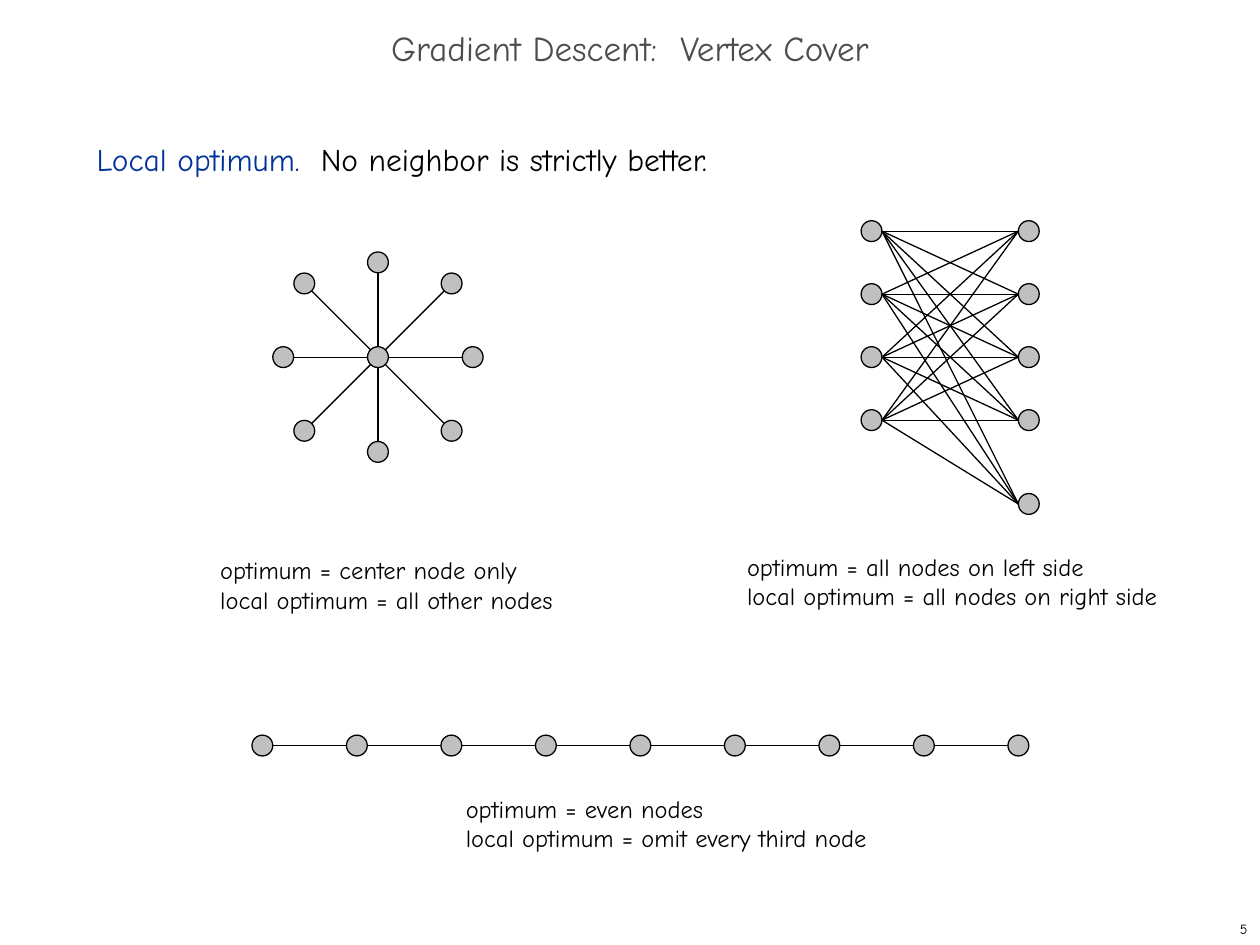
import math

from lxml import etree
from pptx import Presentation
from pptx.dml.color import RGBColor
from pptx.enum.shapes import MSO_CONNECTOR, MSO_SHAPE
from pptx.enum.text import MSO_ANCHOR, MSO_AUTO_SIZE, PP_ALIGN
from pptx.oxml.ns import qn
from pptx.util import Cm, Pt

OVAL = MSO_SHAPE.OVAL
STRAIGHT = MSO_CONNECTOR.STRAIGHT
LEFT, CENTER, RIGHT = PP_ALIGN.LEFT, PP_ALIGN.CENTER, PP_ALIGN.RIGHT
TOP, MIDDLE = MSO_ANCHOR.TOP, MSO_ANCHOR.MIDDLE
FIT_SHAPE = MSO_AUTO_SIZE.SHAPE_TO_FIT_TEXT

FONT = "Comic Neue"
COLORS = {"title": "4D4D4D", "term": "003399", "ink": "000000", "node": "C0C0C0"}
RADIUS = 0.21  # node radius in cm

presentation = Presentation()
presentation.slide_width = Cm(25.4)
presentation.slide_height = Cm(19.05)
slide = presentation.slides.add_slide(presentation.slide_layouts[6])


def add_text(box, lines, size, color="ink", align=LEFT, anchor=TOP):
    """Add a text box; box is left, top, width, height in cm."""
    text_box = slide.shapes.add_textbox(*[Cm(length) for length in box])
    frame = text_box.text_frame
    frame.word_wrap = True
    frame.vertical_anchor = anchor
    frame.text = "\n".join(lines)
    for paragraph in frame.paragraphs:
        paragraph.alignment = align
        paragraph.font.name = FONT
        paragraph.font.size = Pt(size)
        paragraph.font.color.rgb = RGBColor.from_string(COLORS[color])
    return frame


def add_edge(start, end, trim_x, trim_y):
    """Join two node centres, pulled in by the given trims at both ends."""
    (x1, y1), (x2, y2) = start, end
    connector = slide.shapes.add_connector(
        STRAIGHT, Cm(x1 + trim_x), Cm(y1 + trim_y), Cm(x2 - trim_x), Cm(y2 - trim_y))
    connector.line.color.rgb = RGBColor.from_string(COLORS["ink"])
    connector.line.width = Pt(0.75)
    etree.SubElement(connector._element.spPr, qn("a:effectLst"))


# Title and definition
title = add_text((0, 0.43, 25.4, 1.27), ["Gradient Descent:  Vertex Cover"],
                 20, "title", CENTER, MIDDLE)
title.paragraphs[0].line_spacing = 0.7

definition = add_text((1.7, 2.54, 21.8, 1.27), ["Local optimum.  "], 18)
definition_line = definition.paragraphs[0]
definition_line.line_spacing = Pt(26)
definition_line.runs[0].font.color.rgb = RGBColor.from_string(COLORS["term"])
definition_line.add_run().text = "No neighbor is strictly better."

# Star graph: a hub with eight spokes
hub = (7.62, 7.2)
star_nodes = [hub]
for step in range(8):
    reach = 2.1 if step % 2 else 1.91  # diagonal spokes are longer
    cosine, sine = math.cos(step * math.pi / 4), math.sin(step * math.pi / 4)
    leaf = (hub[0] + reach * cosine, hub[1] + reach * sine)
    add_edge(hub, leaf, RADIUS * cosine, RADIUS * sine)
    star_nodes.append(leaf)

# Complete bipartite graph: four nodes on the left, five on the right
row_tops = [4.66 + 1.27 * row for row in range(4)]
left_nodes = [(17.57, y) for y in row_tops]
right_nodes = [(20.74, y) for y in row_tops + [10.16]]
for left_node in left_nodes:
    for right_node in right_nodes:
        add_edge(left_node, right_node, RADIUS, 0)

# Path graph: nine nodes in a row
path_nodes = [(5.29 + 1.905 * column, 15.03) for column in range(9)]
for start, end in zip(path_nodes, path_nodes[1:]):
    add_edge(start, end, RADIUS, 0)

# Nodes of all three graphs
for x, y in star_nodes + left_nodes + right_nodes + path_nodes:
    node = slide.shapes.add_shape(
        OVAL, Cm(x - RADIUS), Cm(y - RADIUS), Cm(2 * RADIUS), Cm(2 * RADIUS))
    node.shadow.inherit = False
    node.fill.solid()
    node.fill.fore_color.rgb = RGBColor.from_string(COLORS["node"])
    node.line.color.rgb = RGBColor.from_string(COLORS["ink"])
    node.line.width = Pt(0.75)

# Captions
captions = [
    ((4.19, 11.07, 7.24, 1.45),
     ["optimum = center node only", "local optimum = all other nodes"]),
    ((14.81, 11, 8.79, 1.45),
     ["optimum = all nodes on left side", "local optimum = all nodes on right side"]),
    ((9.14, 15.88, 8.64, 1.45),
     ["optimum = even nodes", "local optimum = omit every third node"]),
]
for box, lines in captions:
    caption = add_text(box, lines, 14)
    caption.word_wrap = False
    caption.auto_size = FIT_SHAPE

# Page number
add_text((20.12, 18.42, 5.28, 0.63), ["5"], 8, "ink", RIGHT, MIDDLE)

presentation.save("out.pptx")
